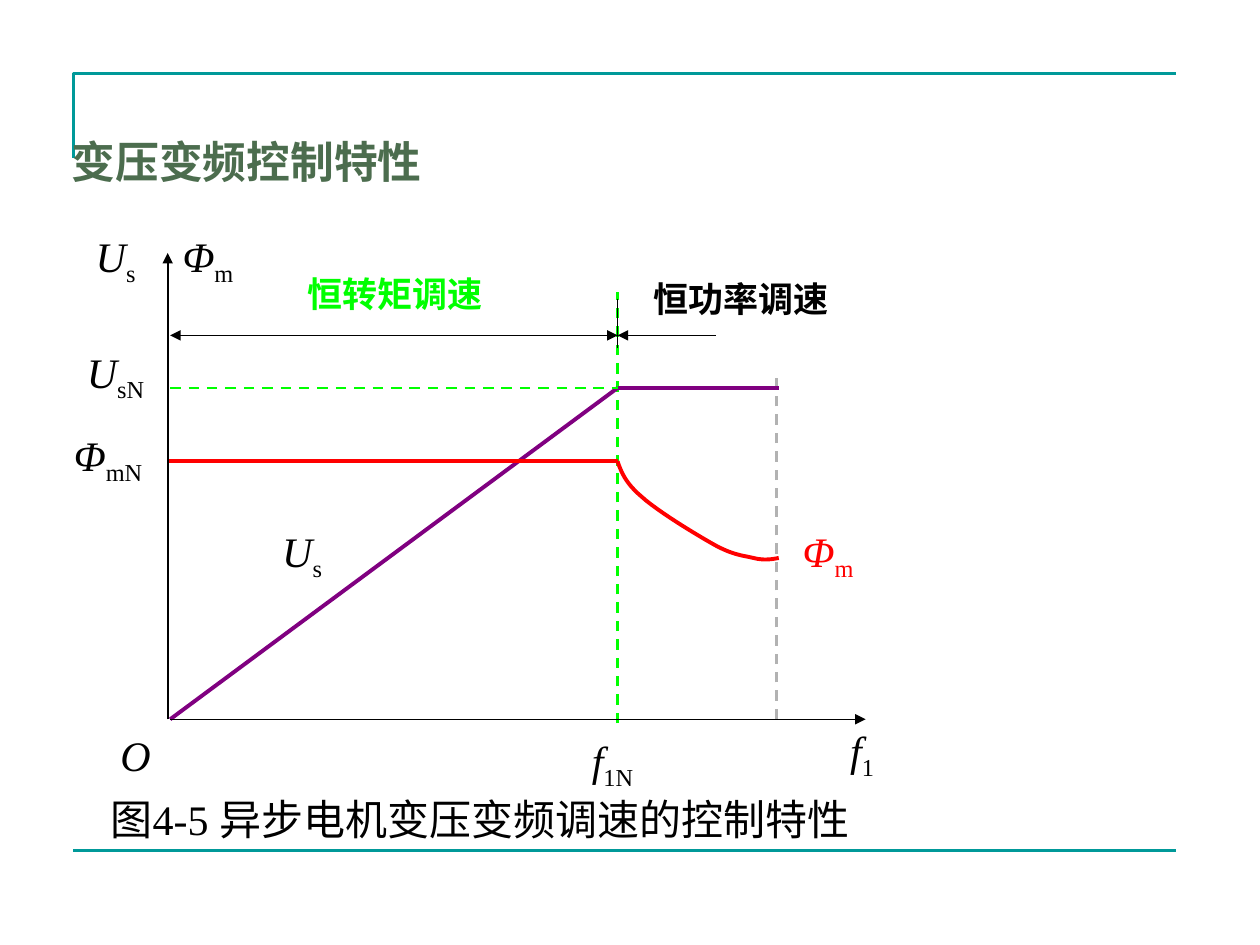
from pptx import Presentation
from pptx.dml.color import RGBColor
from pptx.enum.dml import MSO_LINE_DASH_STYLE as Dash
from pptx.enum.shapes import MSO_CONNECTOR, MSO_SHAPE
from pptx.enum.text import MSO_ANCHOR, PP_ALIGN
from pptx.oxml.ns import qn
from pptx.util import Cm, Pt
from lxml.etree import SubElement

FONT = "Times New Roman"
TEAL, BLACK, GREEN = "009999", "000000", "00FF00"
PURPLE, RED, GRAY = "800080", "FF0000", "B2B2B2"


def rgb(value):
    return RGBColor.from_string(value)


def add_line(slide, start, end, color=BLACK, width=0.75, dashed=False, arrow=False):
    line = slide.shapes.add_connector(
        MSO_CONNECTOR.STRAIGHT, *(Cm(value) for value in (*start, *end)))
    line.line.color.rgb = rgb(color)
    line.line.width = Pt(width)
    if dashed:
        line.line.dash_style = Dash.DASH
    if arrow:
        SubElement(line.line._get_or_add_ln(), qn("a:tailEnd"), type="triangle")
    SubElement(line._element.spPr, qn("a:effectLst"))


def add_path(slide, points, color, width):
    """Draw an open, unfilled outline through points in centimetres."""
    start, *rest = [(Cm(x), Cm(y)) for x, y in points]
    builder = slide.shapes.build_freeform(*start)
    builder.add_line_segments(rest, close=False)
    shape = builder.convert_to_shape()
    shape.shadow.inherit = False
    shape.fill.background()
    shape.line.color.rgb = rgb(color)
    shape.line.width = Pt(width)


def add_run(paragraph, text, size, color, bold=False, italic=False, subscript=False):
    run = paragraph.add_run()
    run.text = text
    font = run.font
    font.name, font.size, font.bold, font.italic = FONT, Pt(size), bold, italic
    font.color.rgb = rgb(color)
    if subscript:
        font._element.set("baseline", "-25000")


def add_text_box(slide, left, top, width, height):
    box = slide.shapes.add_textbox(Cm(left), Cm(top), Cm(width), Cm(height))
    box.text_frame.word_wrap = True
    return box.text_frame.paragraphs[0]


def add_symbol(slide, left, top, letter, subscript, color=BLACK, width=2.26):
    """Add an italic letter with an upright subscript."""
    paragraph = add_text_box(slide, left, top, width, 1.27)
    add_run(paragraph, letter, 24, color, italic=True)
    add_run(paragraph, subscript, 24, color, subscript=True)


def add_origin_mark(slide, left, top, size):
    shape = slide.shapes.add_shape(
        MSO_SHAPE.RECTANGLE, Cm(left), Cm(top), Cm(size), Cm(size))
    shape.shadow.inherit = False
    shape.fill.solid()
    shape.fill.fore_color.rgb = rgb("FFFFFF")
    shape.line.fill.background()
    frame = shape.text_frame
    frame.word_wrap = False
    frame.vertical_anchor = MSO_ANCHOR.MIDDLE
    frame.paragraphs[0].alignment = PP_ALIGN.CENTER
    add_run(frame.paragraphs[0], "O", 24, BLACK, italic=True)


def bezier_points(start, curves, steps=12):
    """Sample a chain of cubic curves, each given as two controls and an end."""
    points = [start]
    for first, second, end in curves:
        for step in range(1, steps + 1):
            t = step / steps
            weights = ((1 - t) ** 3, 3 * t * (1 - t) ** 2, 3 * t * t * (1 - t), t ** 3)
            corners = (start, first, second, end)
            points.append(tuple(
                sum(weight * corner[axis] for weight, corner in zip(weights, corners))
                for axis in (0, 1)))
        start = end
    return points


def add_frame(slide, left, top, width, height):
    right, bottom = left + width, top + height
    add_path(slide, [(left, top + 1.7), (left, top), (right, top)], TEAL, 1.5)
    add_line(slide, (left, bottom), (right, bottom), TEAL, 1.5)


def add_title(slide, left, top, width, height):
    paragraph = add_text_box(slide, left, top, width, height)
    add_run(paragraph, "变压变频控制特性", 25, "4C6D4E", bold=True)


def add_caption(slide, left, top, width, height):
    paragraph = add_text_box(slide, left, top, width, height)
    add_run(paragraph, "图4-5 异步电机变压变频调速的控制特性", 24, BLACK)


def add_characteristic(slide, left, top, width, height):
    """Draw the voltage and flux curves; the box is spanned by the two axes."""
    def at(x, y):
        return left + x, top + y

    rated, limit = 9.07, 12.32
    voltage, flux, span = 2.72, 4.2, 1.66
    inset = 0.05

    lines = [
        ((rated, height + 0.08), (rated, 0.79), GREEN, 1.5, True, False),
        ((limit - inset, height), (limit - inset, 2.44), GRAY, 1.5, True, False),
        ((0, 0.92), (0, 1.91), BLACK, 0.75, False, False),
        ((rated, 0.92), (rated, 1.91), BLACK, 0.75, False, False),
        ((4.29, span), (rated, span), BLACK, 0.75, False, True),
        ((5.31, span), (inset, span), BLACK, 0.75, False, True),
        ((11.05, span), (rated, span), BLACK, 0.75, False, True),
        ((inset, height), (rated, voltage), PURPLE, 2.25, False, False),
        ((rated, voltage), (limit, voltage), PURPLE, 2.25, False, False),
        ((inset, voltage), (rated, voltage), GREEN, 1.5, True, False),
        ((0, flux), (rated, flux), RED, 2.25, False, False),
        ((0, height), (0, 0), BLACK, 1, False, True),
        ((inset, height), (width, height), BLACK, 0.75, False, True),
    ]
    for start, end, *style in lines:
        add_line(slide, at(*start), at(*end), *style)

    weakening = bezier_points((rated, flux), [
        ((9.14, 4.4), (9.22, 4.63), (9.55, 4.91)),
        ((9.88, 5.21), (10.69, 5.7), (11.05, 5.9)),
        ((11.43, 6.1), (11.61, 6.1), (11.81, 6.15)),
        ((12.01, 6.2), (12.16, 6.18), (limit, 6.15)),
    ])
    add_path(slide, [at(*point) for point in weakening], RED, 2.25)

    for x, y, text, color in [(2.56, 0.26, "恒转矩调速", GREEN),
                              (9.55, 0.36, "恒功率调速", BLACK)]:
        add_run(add_text_box(slide, *at(x, y), 5, 1.09), text, 20, color, bold=True)

    for x, y, *symbol in [
        (-1.7, -0.58, "U", "s"),
        (0.05, -0.58, "Φ", "m"),
        (-1.88, 1.76, "U", "sN"),
        (-2.14, 3.43, "Φ", "mN", BLACK, 3.5),
        (2.06, 5.36, "U", "s"),
        (12.55, 5.36, "Φ", "m", RED),
        (8.3, 9.58, "f", "1N"),
        (13.51, 9.38, "f", "1", BLACK, 1.5),
    ]:
        add_symbol(slide, *at(x, y), *symbol)
    add_origin_mark(slide, *at(-1.14, 9.61), 0.99)


def main():
    presentation = Presentation()
    presentation.slide_width, presentation.slide_height = Cm(25.4), Cm(19.05)
    slide = presentation.slides.add_slide(presentation.slide_layouts[6])
    add_frame(slide, 1.48, 1.48, 22.22, 15.67)
    add_title(slide, 1.2, 2.6, 21.4, 1.7)
    add_characteristic(slide, 3.38, 5.1, 14.07, 9.4)
    add_caption(slide, 1.98, 15.88, 15.88, 1.27)
    presentation.save("out.pptx")


if __name__ == "__main__":
    main()
